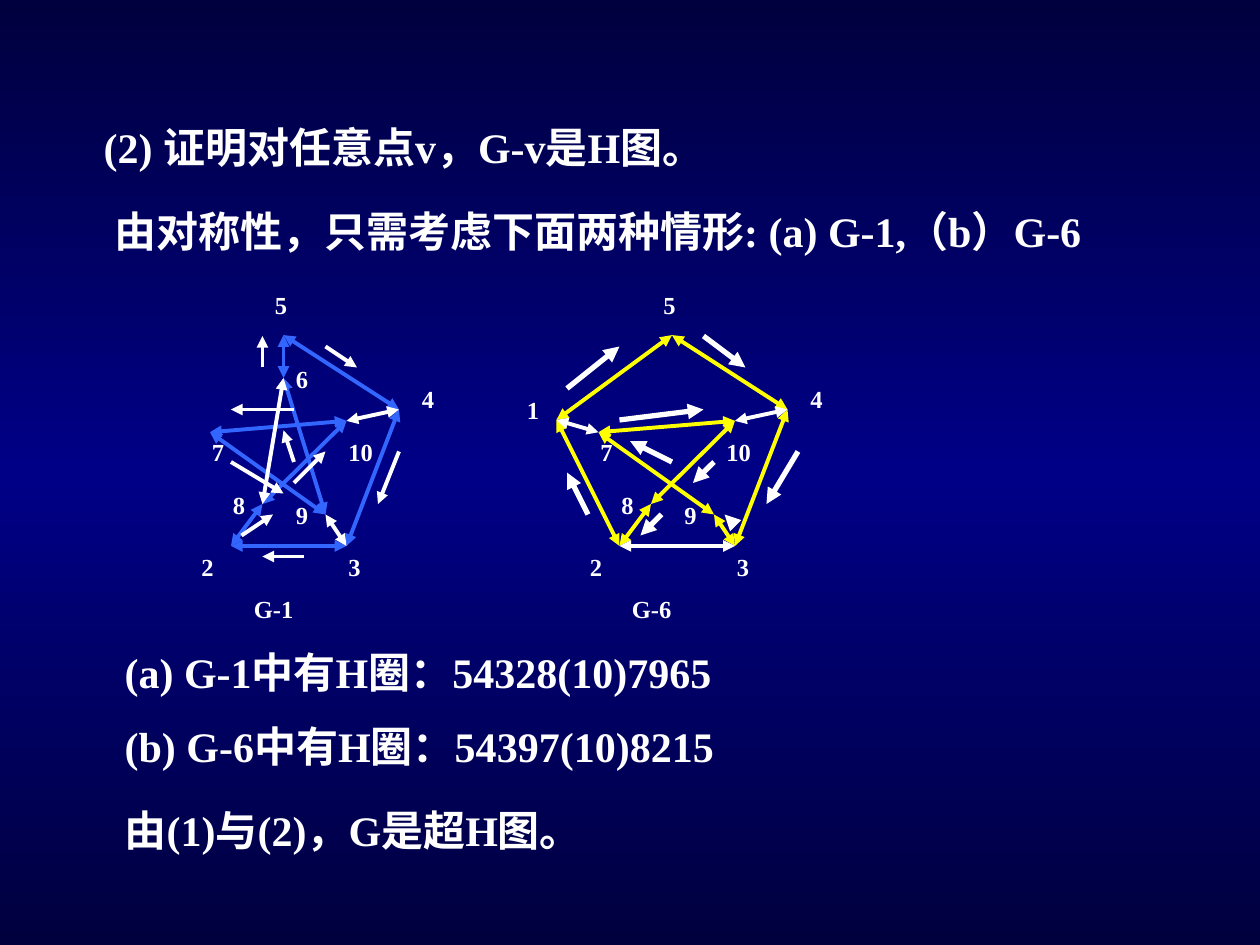
import copy

import pptx
import pptx.dml.color
import pptx.enum.shapes
import pptx.enum.text
import pptx.oxml.ns
import pptx.oxml.xmlchemy
import pptx.util

Pt = pptx.util.Pt
Color = pptx.dml.color.RGBColor.from_string
qn = pptx.oxml.ns.qn

theme = {
    "font": "Times New Roman",
    "text": "FFFFFF",
    "blue": "3366FF",
    "gold": "FFFF00",
    "white": "FFFFFF",
    "dark": "00003E",
    "mid": "000086",
    "body": 24,
    "label": 14,
}


def write(shapes, text, left, top, width, height, size, indent=0):
    box = shapes.add_textbox(Pt(left), Pt(top), Pt(width), Pt(height))
    frame = box.text_frame
    frame.word_wrap = True
    frame.auto_size = pptx.enum.text.MSO_AUTO_SIZE.SHAPE_TO_FIT_TEXT
    frame.margin_left = Pt(7.2 + indent)
    frame.text = text
    font = frame.paragraphs[0].runs[0].font
    font.name = theme["font"]
    font.size = Pt(size)
    font.bold = True
    font.color.rgb = Color(theme["text"])


def arrow(shapes, start, end, color, width, ends):
    kind = pptx.enum.shapes.MSO_CONNECTOR.STRAIGHT
    line = shapes.add_connector(kind, *map(Pt, start + end))
    line.line.color.rgb = Color(theme[color])
    line.line.width = Pt(width)
    for name in ends:
        tip = line.get_or_add_ln().makeelement(qn(name), {"type": "triangle"})
        line.get_or_add_ln().append(tip)
    props = line.element.spPr
    props.append(props.makeelement(qn("a:effectLst"), {}))


deck = pptx.Presentation()
deck.slide_width, deck.slide_height = Pt(720), Pt(540)
slide = deck.slides.add_slide(deck.slide_layouts[6])

fill = slide.background.fill
fill.gradient()
fill.gradient_angle = 270
for stop in fill.gradient_stops:
    stop.color.rgb = Color(theme["dark"])
stops = slide.element.find(".//" + qn("a:gsLst"))
stops.insert(1, copy.deepcopy(stops[0]))
for stop, place, color in zip(fill.gradient_stops, (0, 0.5, 1), ("dark", "mid", "dark")):
    stop.position = place
    stop.color.rgb = Color(theme[color])

lines = [
    ("(2) 证明对任意点v，G-v是H图。", 24, 66, 606),
    ("由对称性，只需考虑下面两种情形: (a) G-1,（b）G-6", 30, 114, 636),
    ("(a) G-1中有H圈：54328(10)7965", 36, 366, 636),
    ("(b) G-6中有H圈：54397(10)8215", 36, 408, 636),
    ("由(1)与(2)，G是超H图。", 36, 456, 636),
]
for text, left, top, width in lines:
    write(slide.shapes, text, left, top, width, 41, theme["body"], 28)

nodes = {
    1: (96, 240), 2: (132, 312), 3: (198, 312), 4: (228, 234), 5: (162, 191.5),
    6: (162, 216), 7: (120, 247), 8: (150, 288), 9: (186, 294), 10: (198, 240.5),
}
labels = {
    1: (72, 222), 2: (108, 312), 3: (192, 312), 4: (234, 216), 5: (150, 162),
    6: (162, 204.5), 7: (114, 246), 8: (126, 276.5), 9: (162, 282), 10: (192, 246),
}
shared = [(8, 2), (7, 10), (5, 4), (4, 3), (7, 9), (10, 8)]
graphs = [
    {
        "name": "G-1", "gone": 1, "shift": 0, "nudge": 0, "color": "blue", "width": 2.25,
        "edges": shared + [(6, 9), (2, 3), (5, 6)],
        "white": [(10, 4), (9, 3), (6, 8)],
        "route": [
            (186, 198, 204, 210), (228, 258, 216, 288), (174, 318, 150, 318),
            (138, 306, 156, 294), (168, 276, 186, 258), (168, 234, 132, 234),
            (132, 264, 162, 282), (168, 264, 162, 246), (150, 210, 150, 192),
        ],
    },
    {
        "name": "G-6", "gone": 6, "shift": 222, "nudge": -6, "color": "gold", "width": 3,
        "edges": shared + [(5, 1), (1, 2), (9, 3)],
        "white": [(2, 3), (1, 7), (10, 4)],
        "route": [
            (402, 192, 426, 210), (456, 258, 438, 288), (420, 300, 414, 294),
            (384, 264, 360, 252), (354, 240, 402, 234), (408, 264, 396, 276),
            (378, 294, 366, 306), (336, 294, 324, 270), (324, 222, 354, 198),
        ],
    },
]

for graph in graphs:
    shift = graph["shift"]
    group = slide.shapes.add_group_shape().shapes
    for pairs, color in ((graph["edges"], graph["color"]), (graph["white"], "white")):
        for pair in pairs:
            start, end = [(nodes[n][0] + shift, nodes[n][1]) for n in pair]
            arrow(group, start, end, color, 2.25, ("a:headEnd", "a:tailEnd"))
    for node, (left, top) in labels.items():
        if node != graph["gone"]:
            wide = node == 10
            left += shift + (graph["nudge"] if wide else 0)
            write(group, str(node), left, top, 36 if wide else 25, 24.5, theme["label"])
    left = 138 + shift + graph["nudge"]
    write(group, graph["name"], left, 336, 90, 24.5, theme["label"])

for graph in graphs:
    group = slide.shapes.add_group_shape().shapes
    for step in graph["route"]:
        arrow(group, step[:2], step[2:], "white", graph["width"], ("a:tailEnd",))

deck.save("out.pptx")
